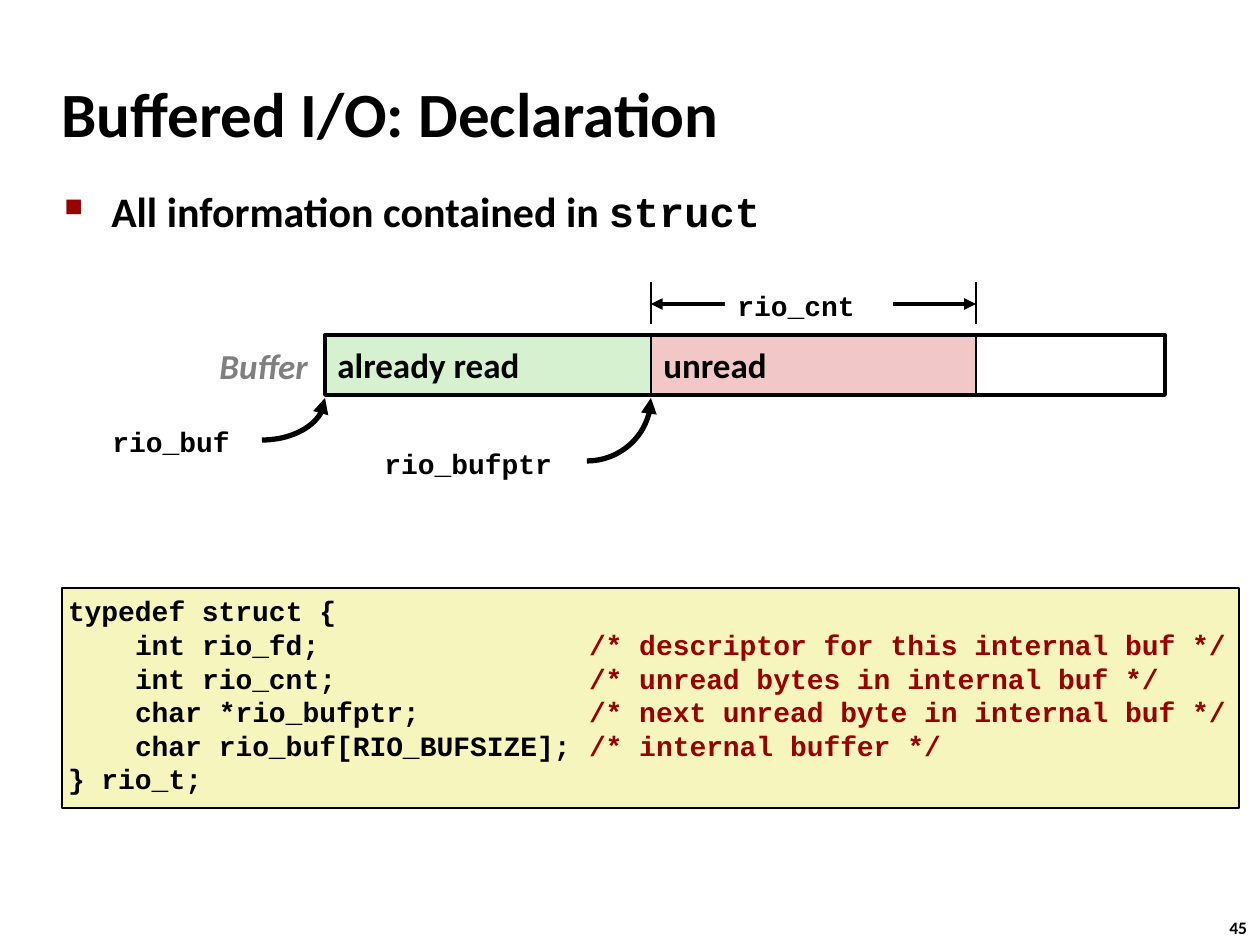
"""Build the slide that declares the buffered I/O struct."""
import math

import pptx
import pptx.dml.color
import pptx.enum.dml
import pptx.enum.shapes
import pptx.enum.text
import pptx.oxml
import pptx.oxml.ns
import pptx.util

RGB = pptx.dml.color.RGBColor
BLACK = RGB(0x00, 0x00, 0x00)
WHITE = RGB(0xFF, 0xFF, 0xFF)
GRAY = RGB(0x80, 0x80, 0x80)
RED = RGB(0x99, 0x00, 0x00)
GREEN_FILL = RGB(0xD5, 0xF1, 0xCF)
PINK_FILL = RGB(0xF1, 0xC7, 0xC7)
CODE_FILL = RGB(0xF6, 0xF5, 0xBD)

PX = pptx.util.Inches(1) / 126
ANCHOR = pptx.enum.text.MSO_ANCHOR
LEFT = pptx.enum.text.PP_ALIGN.LEFT
RECTANGLE = pptx.enum.shapes.MSO_SHAPE.RECTANGLE
STRAIGHT = pptx.enum.shapes.MSO_CONNECTOR.STRAIGHT

SANS, MONO = "Calibri", "Courier New"
TITLE = {"name": SANS, "size": 36, "bold": True, "color": BLACK}
BULLET = {**TITLE, "size": 24}
BULLET_CODE = {**BULLET, "name": MONO}
SEGMENT = {**TITLE, "size": 20}
CAPTION = {**SEGMENT, "italic": True, "color": GRAY}
CODE = {**TITLE, "name": MONO, "size": 16}
COMMENT = {**CODE, "color": RED}
NUMBER = {**TITLE, "size": 10}

FIELDS = [
    ("int rio_fd;", "/* descriptor for this internal buf */"),
    ("int rio_cnt;", "/* unread bytes in internal buf */"),
    ("char *rio_bufptr;", "/* next unread byte in internal buf */"),
    ("char rio_buf[RIO_BUFSIZE];", "/* internal buffer */"),
]
DECLARATION = (
    [[("typedef struct {", CODE)]]
    + [[(f"\t{field}\t", CODE), (note, COMMENT)] for field, note in FIELDS]
    + [[("} rio_t;", CODE)]]
)
CODE_TABS = (67, 521)

BUF_START, BUF_PTR, BUF_END, BUF_LIMIT = 325, 651, 976, 1165
BUF_TOP, BUF_HEIGHT = 335, 60
TICK_TOP, TICK_BOTTOM, COUNT_Y = 282, 324, 304
POINTER_TOP = 398

SEGMENTS = [
    ("unread", BUF_PTR, BUF_END, PINK_FILL),
    ("already read", BUF_START, BUF_PTR, GREEN_FILL),
]
LABELS = [
    ("Buffer", (207, 338, 117, 55), CAPTION, False),
    ("rio_buf", (100, 418, 144, 43), CODE, True),
    ("rio_bufptr", (372, 440, 220, 43), CODE, True),
    ("45", (1217, 911, 47, 34), NUMBER, False),
]
POINTERS = [(BUF_START, 262, 440), (BUF_PTR, 587, 461)]
COUNT_LINES = [
    ((BUF_PTR, TICK_BOTTOM, BUF_PTR, TICK_TOP), 1.5, ()),
    ((BUF_END, TICK_BOTTOM, BUF_END, TICK_TOP), 1.5, ()),
    ((BUF_PTR, COUNT_Y, BUF_END, COUNT_Y), 2.25, ("headEnd", "tailEnd")),
]


def emu(*lengths):
    return [round(length * PX) for length in lengths]


def add_xml(parent, tag, **attributes):
    child = pptx.oxml.parse_xml(f"<a:{tag} {pptx.oxml.ns.nsdecls('a')}/>")
    for name, value in attributes.items():
        child.set(name, str(value))
    parent.append(child)
    return child


def write(shape, paragraphs, wrap=True, anchor=ANCHOR.TOP, inset=None):
    frame = shape.text_frame
    frame.word_wrap, frame.vertical_anchor = wrap, anchor
    if inset is not None:
        for side in ("left", "top", "right", "bottom"):
            setattr(frame, f"margin_{side}", emu(inset)[0])
    for index, runs in enumerate(paragraphs):
        paragraph = frame.add_paragraph() if index else frame.paragraphs[0]
        paragraph.alignment = LEFT
        for text, style in runs:
            run = paragraph.add_run()
            run.text = text
            for name, value in style.items():
                if name == "color":
                    run.font.color.rgb = value
                else:
                    setattr(run.font, name, pptx.util.Pt(value) if name == "size" else value)
    return frame.paragraphs


def indent(paragraph, distance):
    properties = paragraph._p.get_or_add_pPr()
    properties.set("marL", str(emu(distance)[0]))
    properties.set("indent", str(emu(-distance)[0]))
    return properties


def style_line(line, width):
    line.color.rgb = BLACK
    line.width = pptx.util.Pt(width)


def add_arrowheads(line, ends):
    for end in ends:
        add_xml(line._get_or_add_ln(), end, type="triangle")


def add_box(slide, bounds, fill=None, width=None):
    box = slide.shapes.add_shape(RECTANGLE, *emu(*bounds))
    box.shadow.inherit = False
    if fill is None:
        box.fill.background()
    else:
        box.fill.solid()
        box.fill.fore_color.rgb = fill
    if width is None:
        box.line.fill.background()
    else:
        style_line(box.line, width)
    return box


def add_pointer(slide, tip_x, start_x, start_y, steps=24):
    angles = [math.pi / 2 * step / steps for step in range(steps + 1)]
    points = [
        emu(start_x + (tip_x - start_x) * math.cos(angle),
            POINTER_TOP + (start_y - POINTER_TOP) * math.sin(angle))
        for angle in angles
    ]
    builder = slide.shapes.build_freeform(*points[0])
    builder.add_line_segments(points[1:], close=False)
    pointer = builder.convert_to_shape()
    pointer.shadow.inherit = False
    pointer.fill.background()
    style_line(pointer.line, 3)
    add_arrowheads(pointer.line, ["headEnd"])


def main():
    deck = pptx.Presentation()
    deck.slide_width, deck.slide_height = emu(1260, 945)
    slide = deck.slides.add_slide(deck.slide_layouts[5])

    title = slide.shapes.title
    title.left, title.top, title.width, title.height = emu(49, 60, 1046, 105)
    heading = write(title, [[("Buffered I/O: Declaration", TITLE)]], anchor=ANCHOR.MIDDLE)
    title.text_frame.auto_size = pptx.enum.text.MSO_AUTO_SIZE.NONE
    indent(heading[0], 16)

    body = slide.shapes.add_textbox(*emu(52, 179, 1145, 83))
    point = write(body, [[("All information contained in ", BULLET), ("struct", BULLET_CODE)]])[0]
    point.space_before = pptx.util.Pt(5)
    properties = indent(point, 47)
    add_xml(add_xml(properties, "buClr"), "srgbClr", val=RED)
    add_xml(properties, "buSzPct", val=60000)
    add_xml(properties, "buChar", char="■")

    listing = add_box(slide, (62, 588, 1177, 220), CODE_FILL, 1)
    for line in write(listing, DECLARATION, inset=6):
        stops = add_xml(line._p.get_or_add_pPr(), "tabLst")
        for position in emu(*CODE_TABS):
            add_xml(stops, "tab", pos=position, algn="l")

    for text, start, end, fill in SEGMENTS:
        segment = add_box(slide, (start, BUF_TOP, end - start, BUF_HEIGHT), fill, 1.5)
        write(segment, [[(text, SEGMENT)]], anchor=ANCHOR.MIDDLE)
    add_box(slide, (BUF_START, BUF_TOP, BUF_LIMIT - BUF_START, BUF_HEIGHT), width=2.25)

    for pointer in POINTERS:
        add_pointer(slide, *pointer)
    for text, bounds, style, wrap in LABELS:
        write(slide.shapes.add_textbox(*emu(*bounds)), [[(text, style)]], wrap)

    for ends, width, heads in COUNT_LINES:
        connector = slide.shapes.add_connector(STRAIGHT, *emu(*ends))
        style_line(connector.line, width)
        add_arrowheads(connector.line, heads)
        add_xml(connector._element.spPr, "effectLst")
    write(add_box(slide, (725, 282, 168, 43), WHITE), [[("rio_cnt", CODE)]])

    deck.save("out.pptx")


if __name__ == "__main__":
    main()
